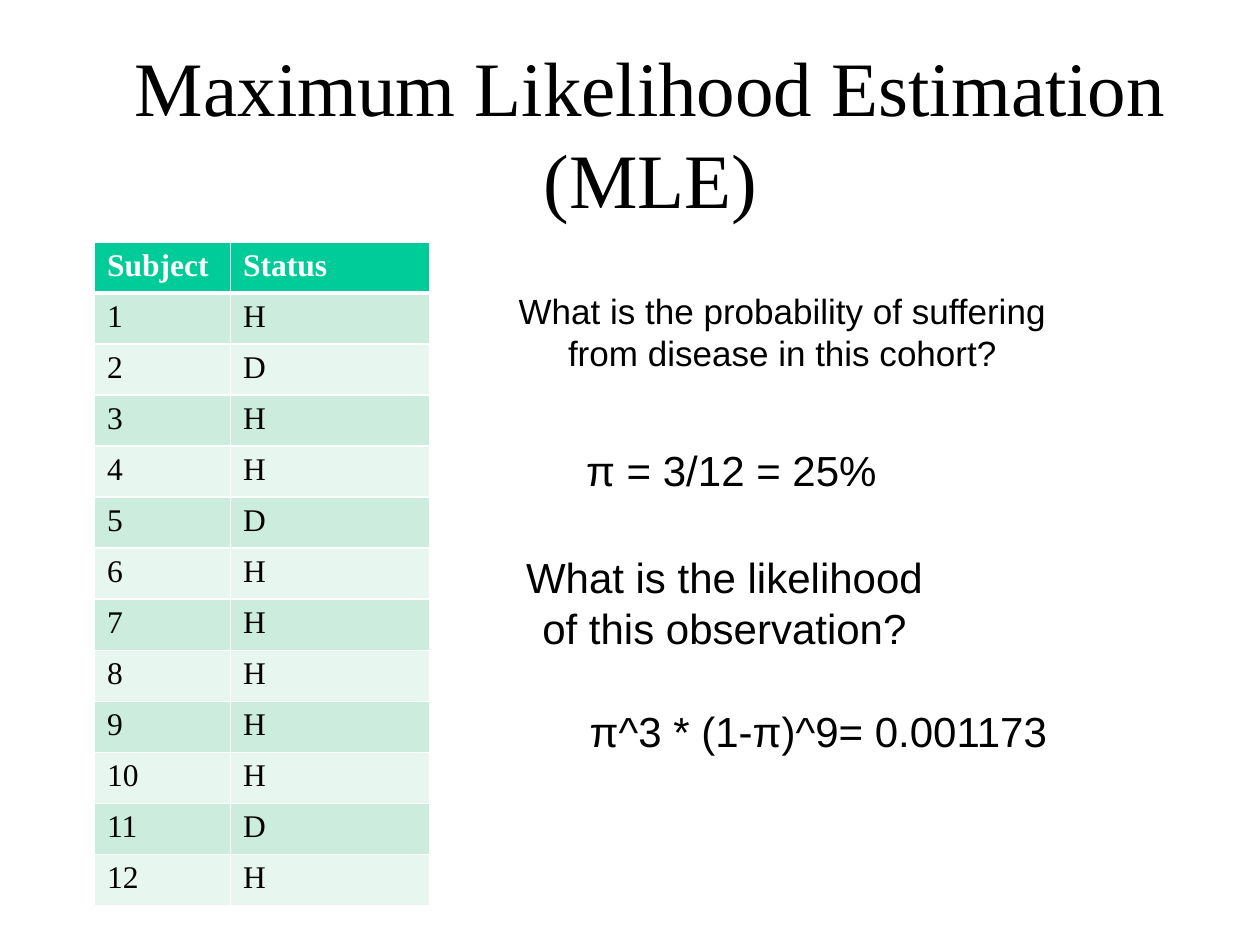
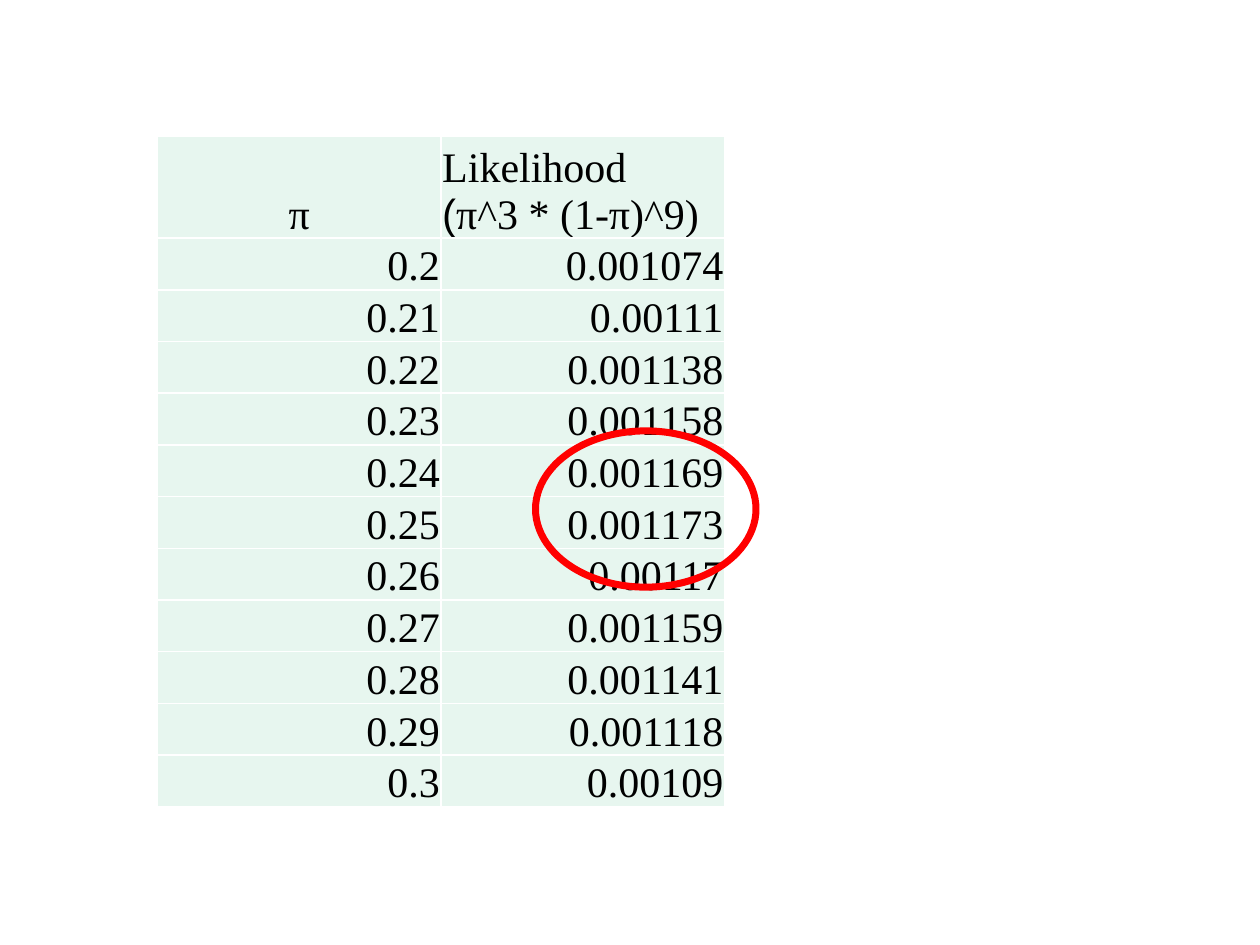
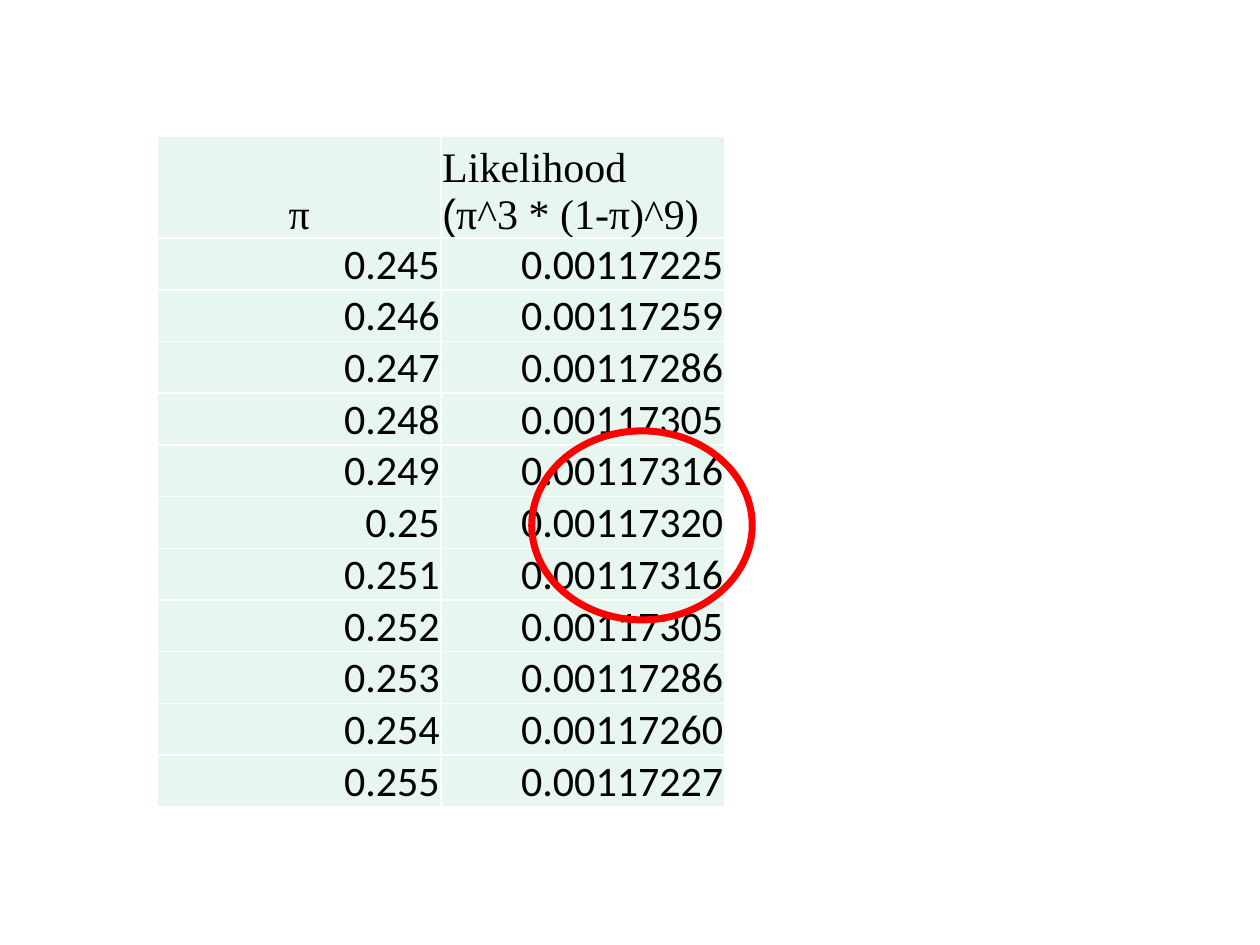
"""Build three slides on maximum likelihood estimation."""
from lxml import etree
from pptx import Presentation
from pptx import util as u
from pptx.dml.color import RGBColor
from pptx.enum import shapes, text
from pptx.oxml import ns

COLORS = {
    "ink": "000000",
    "white": "FFFFFF",
    "header": "00CC99",
    "band": "CCECDE",
    "pale": "E7F6EF",
    "highlight": "FF0000",
}
SERIF, SANS, NUMERIC = "Times New Roman", "Arial", "Calibri"
LEFT, CENTER, RIGHT = text.PP_ALIGN.LEFT, text.PP_ALIGN.CENTER, text.PP_ALIGN.RIGHT
TOP, MIDDLE, BOTTOM = text.MSO_ANCHOR.TOP, text.MSO_ANCHOR.MIDDLE, text.MSO_ANCHOR.BOTTOM


def rgb(color):
    return RGBColor.from_string(COLORS[color])


class Deck:
    """Holds the deck style and the current slide."""

    def __init__(self):
        self.prs = Presentation()
        self.prs.slide_width, self.prs.slide_height = u.Inches(10), u.Inches(7.5)
        self.slide = None

    def new_slide(self):
        self.slide = self.prs.slides.add_slide(self.prs.slide_layouts[6])

    def style(self, paragraph, size, font, align, color="ink", bold=False):
        paragraph.alignment = align
        for run in paragraph.runs:
            run.font.size = u.Pt(size)
            run.font.name = font
            run.font.bold = bold
            run.font.color.rgb = rgb(color)

    def label(self, wording, box, size=24, font=SANS, anchor=TOP, grow=True):
        frame = self.slide.shapes.add_textbox(*map(u.Inches, box)).text_frame
        frame.word_wrap = True
        frame.vertical_anchor = anchor
        if grow:
            frame.auto_size = text.MSO_AUTO_SIZE.SHAPE_TO_FIT_TEXT
        frame.text = wording
        self.style(frame.paragraphs[0], size, font, CENTER)

    def title(self, wording):
        self.label(wording, (0.83, 0.42, 8.67, 1.25), 44, SERIF, MIDDLE, grow=False)

    def table(self, left, top, widths, heights):
        box = map(u.Inches, (left, top, sum(widths), sum(heights)))
        table = self.slide.shapes.add_table(len(heights), len(widths), *box).table
        table.first_row = table.horz_banding = False
        for column, width in zip(table.columns, widths):
            column.width = u.Inches(width)
        for row, height in zip(table.rows, heights):
            row.height = u.Inches(height)
        return table

    def cell(self, cell, wording, fill, insets, size, font, align,
             anchor=TOP, color="ink", bold=False, bottom=1, above=1):
        cell.margin_left, cell.margin_top, cell.margin_right, cell.margin_bottom = map(
            u.Inches, insets)
        cell.vertical_anchor = anchor
        cell.text_frame.text = wording
        for paragraph in cell.text_frame.paragraphs:
            self.style(paragraph, size, font, align, color, bold)
        for side, width in zip("LRTB", (1, 1, above, bottom)):
            self.border(cell, side, width)
        cell.fill.solid()
        cell.fill.fore_color.rgb = rgb(fill)

    def border(self, cell, side, width):
        edge = etree.SubElement(cell._tc.get_or_add_tcPr(), ns.qn(f"a:ln{side}"),
                                w=str(u.Pt(width)))
        solid = etree.SubElement(edge, ns.qn("a:solidFill"))
        etree.SubElement(solid, ns.qn("a:srgbClr"), val=COLORS["white"])

    def ring(self, box):
        ring = self.slide.shapes.add_shape(shapes.MSO_SHAPE.OVAL, *map(u.Inches, box))
        ring.shadow.inherit = False
        ring.fill.background()
        ring.line.color.rgb = rgb("highlight")
        ring.line.width = u.Pt(4)


def add_cohort(deck, statuses):
    rows = [("Subject", "Status")]
    rows += [(str(number), status) for number, status in enumerate(statuses, 1)]
    table = deck.table(0.75, 1.92, (1.08, 1.58), [5.27 / len(rows)] * len(rows))
    for r, row in enumerate(rows):
        fill = "header" if r == 0 else "band" if r % 2 else "pale"
        for c, wording in enumerate(row):
            deck.cell(table.cell(r, c), wording, fill, (0.1, 0.05, 0.1, 0.05), 18, SERIF,
                      LEFT, color="ink" if r else "white", bold=r == 0,
                      bottom=1 if r else 3, above=3 if r == 1 else 1)


def add_likelihoods(deck, start, step, likelihoods, font):
    deck.new_slide()
    table = deck.table(1.25, 1.08, (2.25, 2.25), [0.81] + [0.41] * len(likelihoods))
    look = {"fill": "pale", "insets": (0.01, 0.01, 0.01, 0), "size": 24, "anchor": BOTTOM}
    deck.cell(table.cell(0, 0), "π", font=SERIF, align=CENTER, **look)
    heading = table.cell(0, 1)
    deck.cell(heading, "Likelihood\n(", font=SERIF, align=LEFT, **look)
    formula = heading.text_frame.paragraphs[1]
    formula.add_run().text = "π^3 * (1-π)^9)"
    deck.style(formula, 24, SERIF, LEFT)
    formula.runs[0].font.name = SANS
    for r, likelihood in enumerate(likelihoods, 1):
        probability = f"{start + step * (r - 1):g}"
        for c, wording in enumerate((probability, likelihood)):
            deck.cell(table.cell(r, c), wording, font=font, align=RIGHT, **look)


def main():
    deck = Deck()

    deck.new_slide()
    add_cohort(deck, "HDHHDHHHHHDH")
    deck.title("Maximum Likelihood Estimation (MLE)")
    deck.label("What is the probability of suffering from disease in this cohort?",
               (4, 2.25, 4.42, 0.77), size=20)
    deck.label("π = 3/12 = 25%", (3.97, 3.48, 3.67, 0.51))
    deck.label("What is the likelihood of this observation?", (4, 4.33, 3.5, 0.91))
    deck.label("π^3 * (1-π)^9= 0.001173", (3.99, 5.55, 5.01, 0.5))

    coarse = ("0.001074", "0.00111", "0.001138", "0.001158", "0.001169", "0.001173",
              "0.00117", "0.001159", "0.001141", "0.001118", "0.00109")
    add_likelihoods(deck, 0.2, 0.01, coarse, SERIF)
    deck.ring((4.25, 3.42, 1.75, 1.24))

    fine = ("0.00117225", "0.00117259", "0.00117286", "0.00117305", "0.00117316",
            "0.00117320", "0.00117316", "0.00117305", "0.00117286", "0.00117260",
            "0.00117227")
    add_likelihoods(deck, 0.245, 0.001, fine, NUMERIC)
    deck.ring((4.22, 3.42, 1.75, 1.5))

    deck.prs.save("out.pptx")


if __name__ == "__main__":
    main()
